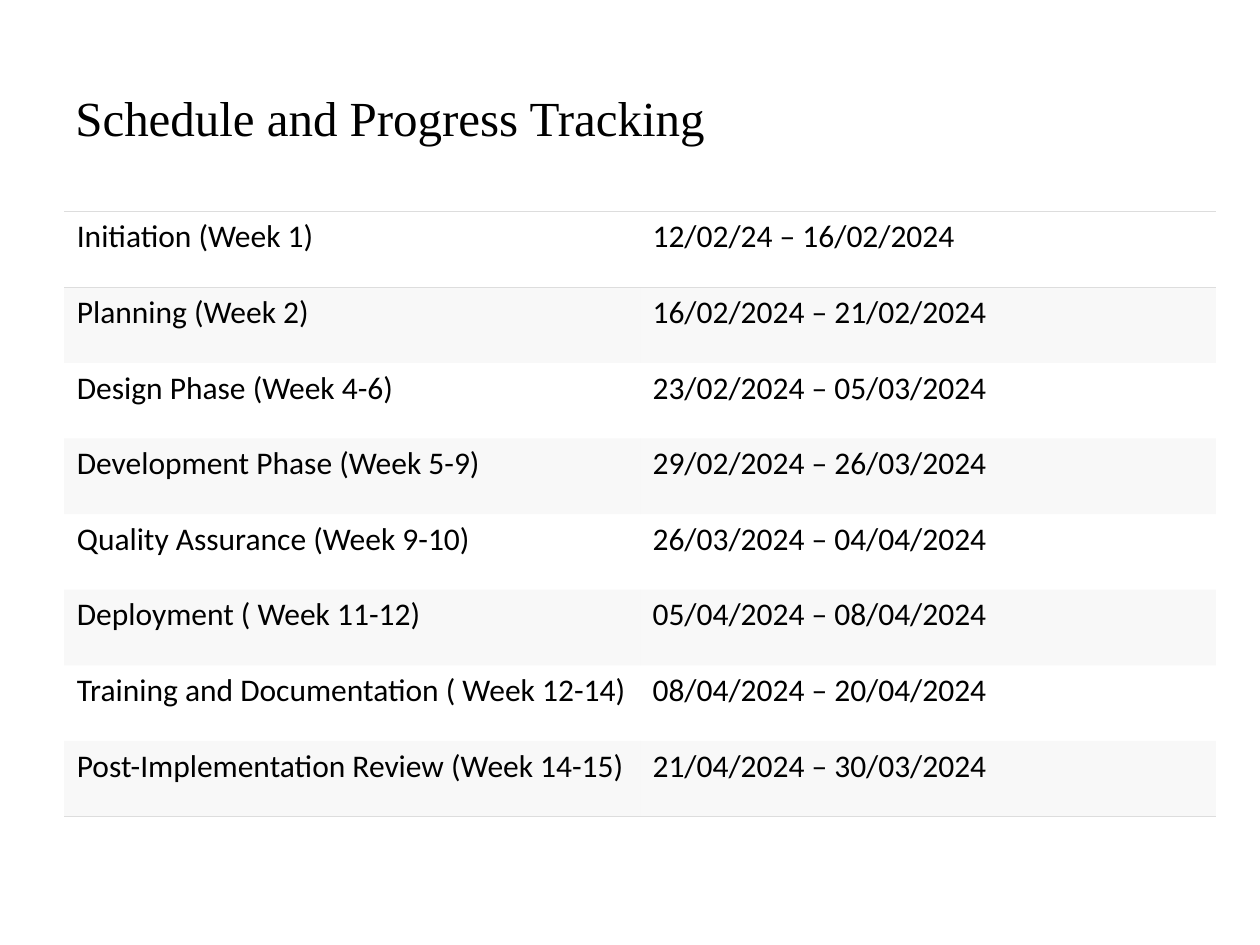
from lxml import etree
from pptx import Presentation
from pptx.dml.color import RGBColor
from pptx.enum.text import MSO_ANCHOR
from pptx.oxml import parse_xml
from pptx.oxml.ns import qn
from pptx.util import Inches, Pt

MIDDLE = MSO_ANCHOR.MIDDLE
NO_STYLE = "{2D5ABB26-0587-4C30-8999-92F81FD0307C}"
NS = "http://schemas.openxmlformats.org/drawingml/2006/main"
BLACK, GREY = "000000", "DDDDDD"
COL_W, ROW_H = 4.57, 0.6

PHASES = [
    ("Initiation (Week 1)", "12/02/24 – 16/02/2024"),
    ("Planning (Week 2)", "16/02/2024 – 21/02/2024"),
    ("Design Phase (Week 4-6)", "23/02/2024 – 05/03/2024"),
    ("Development Phase (Week 5-9)", "29/02/2024 – 26/03/2024"),
    ("Quality Assurance (Week 9-10)", "26/03/2024 – 04/04/2024"),
    ("Deployment ( Week 11-12)", "05/04/2024 – 08/04/2024"),
    ("Training and Documentation ( Week 12-14)", "08/04/2024 – 20/04/2024"),
    ("Post-Implementation Review (Week 14-15)", "21/04/2024 – 30/03/2024"),
]


def write(tf, text, font, size):
    """Fill a text frame with one black paragraph."""
    tf.text = text
    f = tf.paragraphs[0].runs[0].font
    f.name, f.size = font, Pt(size)
    f.color.rgb = RGBColor.from_string(BLACK)


def add_borders(cell, sides):
    """Draw 1 pt grey borders; they must precede the fill in the cell's XML."""
    for i, side in enumerate(sides):
        cell._tc.get_or_add_tcPr().insert(i, parse_xml(
            f'<a:ln{side} xmlns:a="{NS}" w="{Pt(1)}"><a:solidFill>'
            f'<a:srgbClr val="{GREY}"/></a:solidFill></a:ln{side}>'))


prs = Presentation()
prs.slide_width, prs.slide_height = Inches(10), Inches(7.5)
s = prs.slides.add_slide(prs.slide_layouts[6])

# Title
tf = s.shapes.add_textbox(Inches(0.5), Inches(0.3), Inches(9), Inches(1.25)).text_frame
tf.word_wrap = True
tf.vertical_anchor = MIDDLE
write(tf, "Schedule and Progress Tracking", "Times New Roman", 28)

# Schedule table
n_rows, n_cols = len(PHASES), len(PHASES[0])
frame = s.shapes.add_table(n_rows, n_cols, Inches(0.51), Inches(1.68),
                           Inches(n_cols * COL_W), Inches(n_rows * ROW_H))
table = frame.table
table.first_row = table.horz_banding = False
table._tbl.tblPr.find(qn("a:tableStyleId")).text = NO_STYLE

for r, phase in enumerate(PHASES):
    for c, text in enumerate(phase):
        cell = table.cell(r, c)
        write(cell.text_frame, text, "Calibri", 18)
        if r % 2:
            cell.fill.solid()
            cell.fill.fore_color.rgb = RGBColor.from_string(GREY)
            color = cell._tc.tcPr.find(".//" + qn("a:srgbClr"))
            etree.SubElement(color, qn("a:alpha"), val="20000")
        else:
            cell.fill.background()
        if r == 0:
            add_borders(cell, "TB")
        elif r == n_rows - 1:
            add_borders(cell, "B")

prs.save("out.pptx")
